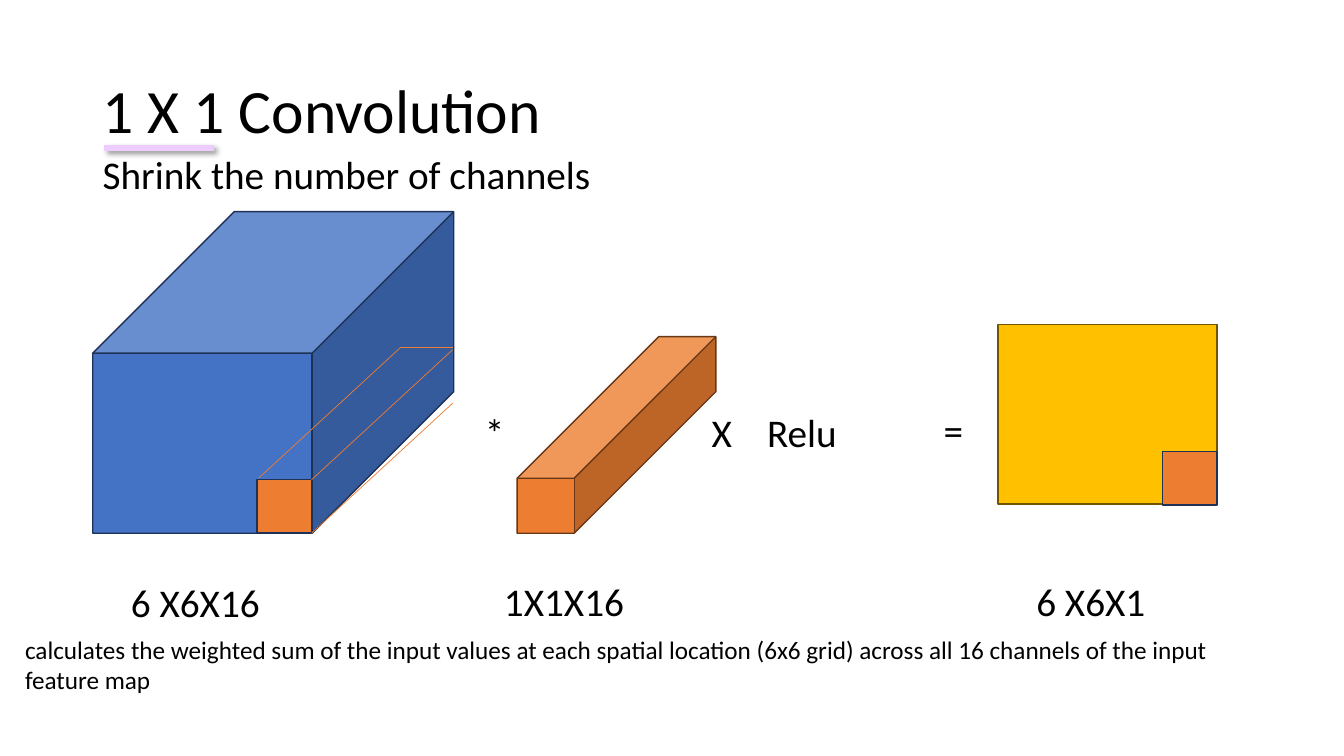
from lxml import etree
from pptx import Presentation
from pptx.dml.color import RGBColor
from pptx.enum.shapes import MSO_CONNECTOR, MSO_SHAPE
from pptx.enum.text import MSO_ANCHOR, MSO_AUTO_SIZE
from pptx.oxml.ns import qn
from pptx.util import Emu, Pt

CUBE = MSO_SHAPE.CUBE
RECTANGLE = MSO_SHAPE.RECTANGLE
STRAIGHT = MSO_CONNECTOR.STRAIGHT
TOP = MSO_ANCHOR.TOP
MIDDLE = MSO_ANCHOR.MIDDLE
GROW = MSO_AUTO_SIZE.SHAPE_TO_FIT_TEXT
FIXED = MSO_AUTO_SIZE.NONE

BLUE, NAVY = "4472C4", "1E3256"
ORANGE, BROWN = "ED7D31", "683715"
YELLOW, OLIVE = "FFC000", "705400"
BLACK, LILAC = "000000", "EDCDFF"


def px(value):
    return Emu(value * 9144)


def color(value):
    return RGBColor.from_string(value)


class Diagram:
    font = "Calibri"
    ink = BLACK

    def __init__(self, page):
        self.page = page

    def text(self, words, left, top, width, height, size=28, anchor=TOP,
             fit=GROW, spacing=None, before=None, tab=None):
        box = self.page.shapes.add_textbox(px(left), px(top), px(width), px(height))
        frame = box.text_frame
        frame.word_wrap = True
        frame.auto_size = fit
        frame.vertical_anchor = anchor
        para = frame.paragraphs[0]
        if spacing:
            para.line_spacing = spacing
        if before:
            para.space_before = Pt(before)
        if tab:
            stops = etree.SubElement(para._p.get_or_add_pPr(), qn("a:tabLst"))
            etree.SubElement(stops, qn("a:tab"), pos=str(px(tab)), algn="l")
        span = para.add_run()
        span.text = words
        span.font.name = self.font
        span.font.size = Pt(size)
        span.font.color.rgb = color(self.ink)

    def shape(self, kind, left, top, width, height, fill, outline, depth=None):
        shape = self.page.shapes.add_shape(kind, px(left), px(top), px(width), px(height))
        shape.shadow.inherit = False
        shape.fill.solid()
        shape.fill.fore_color.rgb = color(fill)
        shape.line.color.rgb = color(outline)
        shape.line.width = Pt(1)
        if depth:
            shape.adjustments[0] = depth

    def line(self, start, end, stroke, weight, shadow=False):
        line = self.page.shapes.add_connector(STRAIGHT, *map(px, start + end))
        line.line.color.rgb = color(stroke)
        line.line.width = Pt(weight)
        effects = etree.SubElement(line._element.spPr, qn("a:effectLst"))
        if shadow:
            cast = etree.SubElement(
                effects, qn("a:outerShdw"), blurRad=str(Pt(4)), dist=str(Pt(3)),
                dir=str(45 * 60000), algn="tl", rotWithShape="0")
            tint = etree.SubElement(cast, qn("a:srgbClr"), val=BLACK)
            etree.SubElement(tint, qn("a:alpha"), val="40000")


def main():
    deck = Presentation()
    deck.slide_width, deck.slide_height = px(1333), px(750)
    diagram = Diagram(deck.slides.add_slide(deck.slide_layouts[6]))

    diagram.text("1 X 1 Convolution", 92, 40, 1150, 145, size=44,
                 anchor=MIDDLE, fit=FIXED, spacing=0.9)
    diagram.text("Shrink the number of channels", 92, 149, 1150, 476,
                 fit=FIXED, spacing=0.9, before=10)

    diagram.shape(CUBE, 92, 210, 358, 319, BLUE, NAVY, depth=0.44)
    diagram.shape(CUBE, 513, 334, 197, 195, ORANGE, BROWN, depth=0.72)
    diagram.shape(RECTANGLE, 990, 322, 217, 178, YELLOW, OLIVE)
    for left, top in ((255, 476), (1153, 448)):
        diagram.shape(RECTANGLE, left, top, 54, 53, ORANGE, NAVY)

    for left, top in ((309, 476), (309, 529), (257, 474)):
        diagram.line((left, top), (left + 140, top - 129), ORANGE, 0.5)
    diagram.line((397, 345), (449, 345), ORANGE, 0.5)

    for words, left, top, width in (
        ("6 X6X16", 120, 569, 219),
        ("1X1X16", 490, 568, 219),
        ("6 X6X1", 1018, 568, 142),
        ("*", 471, 400, 48),
        ("=", 926, 398, 73),
    ):
        diagram.text(words, left, top, width, 57)
    diagram.text("X\tRelu", 696, 400, 260, 57, tab=55)

    diagram.text("calculates the weighted sum of the input values at each spatial "
                 "location (6x6 grid) across all 16 channels of the input feature map",
                 15, 624, 1213, 71, size=18)
    diagram.line((103, 147), (212, 147), LILAC, 4.5, shadow=True)

    deck.save("out.pptx")


if __name__ == "__main__":
    main()
